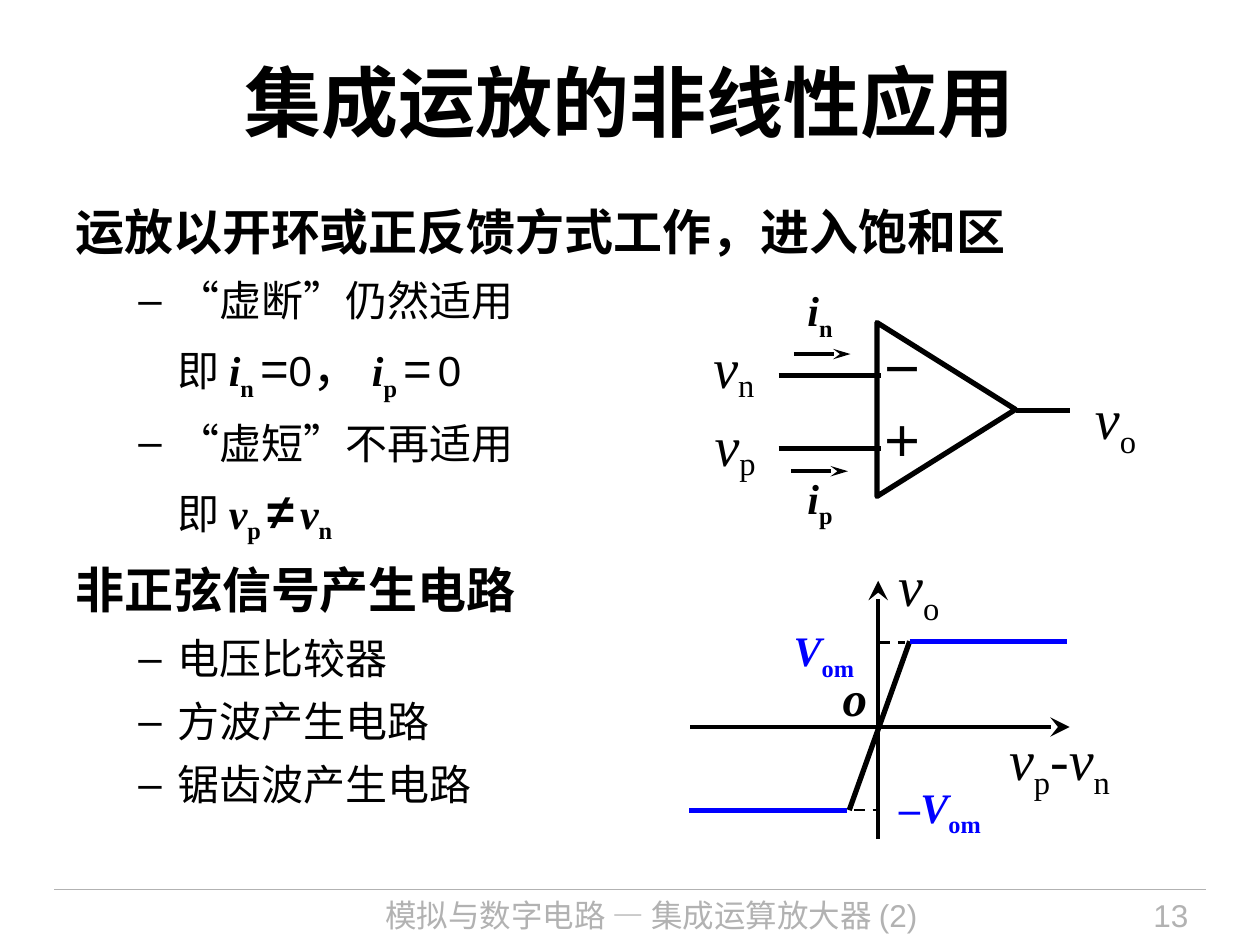
"""Build the slide on nonlinear applications of integrated operational amplifiers."""
from dataclasses import dataclass

from lxml.etree import SubElement
from pptx import Presentation
from pptx.dml.color import RGBColor
from pptx.enum.dml import MSO_LINE as Dash
from pptx.enum.shapes import MSO_CONNECTOR as Connector, MSO_SHAPE as Shape
from pptx.enum.text import MSO_ANCHOR as Anchor, MSO_AUTO_SIZE as AutoSize, PP_ALIGN as Align
from pptx.oxml.ns import qn
from pptx.util import Inches, Pt


@dataclass(frozen=True)
class Theme:
    ink: RGBColor = RGBColor(0, 0, 0)
    muted: RGBColor = RGBColor(0xB2, 0xB2, 0xB2)
    accent: RGBColor = RGBColor(0, 0, 0xFF)
    sans: str = "Arial"
    serif: str = "Times New Roman"
    title: int = 44
    symbol: int = 32
    heading: int = 28
    body: int = 24
    footer: int = 18


THEME = Theme()
PLAIN = {"name": THEME.sans, "size": Pt(THEME.body), "color": THEME.ink, "bold": False}
HEADING = {**PLAIN, "size": Pt(THEME.heading), "bold": True}
OPERATOR = {**HEADING, "bold": False}
TITLE = {**HEADING, "size": Pt(THEME.title)}
FOOTER = {**PLAIN, "size": Pt(THEME.footer), "color": THEME.muted}
QUANTITY = {**PLAIN, "name": THEME.serif, "bold": True}
SATURATION = {**QUANTITY, "color": THEME.accent}
VOLTAGE = {**QUANTITY, "size": Pt(THEME.symbol), "bold": False}
SUBSCRIPT = {"baseline": -25}


def symbol(letter, subscript, style, drop=-25):
    """Return the runs of an italic letter with its subscript."""
    return [(letter, {**style, "italic": True}), (subscript, {**style, "baseline": drop})]


class SlideBuilder:
    """Hold the theme and the current slide."""

    def __init__(self, theme, slide):
        self.theme, self.slide = theme, slide

    def runs(self, paragraph, parts):
        """Add styled runs to a paragraph."""
        for words, style in parts:
            run = paragraph.add_run()
            run.text = words
            for key, value in style.items():
                if key == "color":
                    run.font.color.rgb = value
                elif key == "baseline":
                    run._r.get_or_add_rPr().set("baseline", str(value * 1000))
                else:
                    setattr(run.font, key, value)

    def text(self, box, parts, frame_format=None, paragraph_format=None):
        """Add a text box of one paragraph."""
        frame = self.slide.shapes.add_textbox(*map(Inches, box)).text_frame
        for key, value in {"word_wrap": True, **(frame_format or {})}.items():
            setattr(frame, key, value)
        paragraph = frame.paragraphs[0]
        for key, value in (paragraph_format or {}).items():
            setattr(paragraph, key, value)
        self.runs(paragraph, parts)

    def outline(self, box, entries):
        """Add the body text from (kind, runs) entries."""
        frame = self.slide.shapes.add_textbox(*map(Inches, box)).text_frame
        frame.word_wrap = True
        for index, (kind, parts) in enumerate(entries):
            paragraph = frame.add_paragraph() if index else frame.paragraphs[0]
            properties = paragraph._p.get_or_add_pPr()
            if kind != "heading":
                paragraph.level = 1
                properties.set("marL", str(Inches(0.81)))
                properties.set("indent", str(Inches(-0.31) if kind == "bullet" else 0))
            SubElement(SubElement(properties, qn("a:spcAft")), qn("a:spcPct")).set("val", "30000")
            if kind == "bullet":
                SubElement(properties, qn("a:buFont")).set("typeface", self.theme.sans)
                SubElement(properties, qn("a:buChar")).set("char", "–")
            else:
                SubElement(properties, qn("a:buNone"))
            self.runs(paragraph, parts)

    def line(self, start, end, width, color=None, dash=None, arrow=None):
        """Add a straight line, with an arrowhead of the given format at its end."""
        connector = self.slide.shapes.add_connector(
            Connector.STRAIGHT, *map(Inches, (*start, *end)))
        line = connector.line
        line.color.rgb = color or self.theme.ink
        line.width = Pt(width)
        if dash:
            line.dash_style = dash
        if arrow:
            head = SubElement(line._get_or_add_ln(), qn("a:tailEnd"))
            for key, value in arrow.items():
                head.set(key, value)
        SubElement(connector._element.spPr, qn("a:effectLst"))

    def triangle(self, box, width):
        """Add the amplifier triangle, pointing right."""
        amplifier = self.slide.shapes.add_shape(Shape.ISOSCELES_TRIANGLE, *map(Inches, box))
        amplifier.rotation = 90
        amplifier.shadow.inherit = False
        amplifier.fill.background()
        amplifier.line.color.rgb = self.theme.ink
        amplifier.line.width = Pt(width)


GROW = {"auto_size": AutoSize.SHAPE_TO_FIT_TEXT}
LOOSE = {**GROW, "word_wrap": False}
FLUSH = {"word_wrap": False, "margin_left": 0, "margin_right": 0, "margin_top": 0, "margin_bottom": 0}
SIGN = {**FLUSH, "vertical_anchor": Anchor.MIDDLE}
TERMINAL = {**FLUSH, **GROW}
CURRENT_HEAD = {"type": "stealth", "w": "med", "len": "lg"}
AXIS_HEAD = {**CURRENT_HEAD, "w": "lg"}

OUTLINE = [
    ("heading", [("运放以开环或正反馈方式工作，进入饱和区", HEADING)]),
    ("bullet", [("“虚断”仍然适用", PLAIN)]),
    ("detail", [("即 ", PLAIN), *symbol("i", "n ", QUANTITY), ("=", OPERATOR), ("0", PLAIN),
                ("， ", OPERATOR), *symbol("i", "p ", QUANTITY), ("=", OPERATOR),
                (" ", {**QUANTITY, **SUBSCRIPT}), ("0", PLAIN)]),
    ("bullet", [("“虚短”不再适用", PLAIN)]),
    ("detail", [("即 ", PLAIN), *symbol("v", "p ", QUANTITY), ("≠", HEADING),
                (" ", {**QUANTITY, **SUBSCRIPT}), *symbol("v", "n", QUANTITY)]),
    ("heading", [("非正弦信号产生电路", HEADING)]),
    *(("bullet", [(circuit, PLAIN)]) for circuit in ("电压比较器", "方波产生电路", "锯齿波产生电路")),
]


def draw_amplifier(builder):
    """Draw the amplifier symbol with its terminals."""
    builder.triangle((6.82, 2.7, 1.38, 1.1), 3)
    builder.line((8.06, 3.26), (8.49, 3.26), 3)
    builder.text((8.69, 2.92, 0.34, 0.64), symbol("v", "o", VOLTAGE), TERMINAL, {"line_spacing": 1.2})
    inputs = (("n", "－", 2.68, (5.55, 2.53), 2.98, 2.21, (6.3, 2.81)),
              ("p", "＋", 3.25, (5.56, 3.15), 3.56, 3.7, (6.28, 3.74)))
    for name, sign, sign_top, corner, wire, label_top, (arrow_left, arrow_top) in inputs:
        builder.line((6.18, wire), (6.99, wire), 3)
        builder.text((*corner, 0.45, 0.64), [(" ", VOLTAGE), *symbol("v", name, VOLTAGE, -15)],
                     TERMINAL, {"line_spacing": 1.2})
        builder.text((6.31, label_top, 0.58, 0.5), symbol("i", name, QUANTITY), GROW)
        builder.line((arrow_left, arrow_top), (arrow_left + 0.45, arrow_top), 2, arrow=CURRENT_HEAD)
        builder.text((7, sign_top, 0.33, 0.5), [(sign, QUANTITY)], SIGN)


def draw_transfer_curve(builder):
    """Draw the saturating transfer characteristic."""
    builder.line((6.97, 6.66), (6.97, 4.61), 2.25, arrow=AXIS_HEAD)
    builder.line((5.48, 5.77), (8.49, 5.77), 2.25, arrow=AXIS_HEAD)
    builder.line((6.78, 6.43), (6.98, 6.43), 1.5, dash=Dash.DASH)
    builder.line((6.98, 5.1), (7.18, 5.1), 1.5, dash=Dash.DASH)
    builder.line((7.22, 5.09), (6.74, 6.43), 3)
    builder.line((7.22, 5.09), (8.47, 5.09), 3, THEME.accent)
    builder.line((5.47, 6.43), (6.72, 6.43), 3, THEME.accent)
    builder.text((6.2, 4.91, 0.72, 0.5), symbol("V", "om", SATURATION), LOOSE)
    builder.text((7.04, 6.15, 0.89, 0.5), symbol("–V", "om", SATURATION), LOOSE)
    builder.text((6.59, 5.25, 0.4, 0.57), [("o", {**HEADING, "name": THEME.serif, "italic": True})], LOOSE)
    builder.text((7.03, 4.38, 0.72, 0.53), symbol("v", "o", VOLTAGE), GROW, {"line_spacing": 0.8})
    difference = [*symbol("v", "p", VOLTAGE), ("-", VOLTAGE), *symbol("v", "n", VOLTAGE)]
    builder.text((7.91, 5.52, 1.25, 0.79), difference, GROW, {"line_spacing": 1.3})


def main():
    """Build and save the presentation."""
    deck = Presentation()
    deck.slide_width, deck.slide_height = Inches(10), Inches(7.5)
    builder = SlideBuilder(THEME, deck.slides.add_slide(deck.slide_layouts[6]))
    builder.line((0.43, 7.06), (9.57, 7.06), 0.75, THEME.muted)
    builder.text((2.49, 7.06, 5.36, 0.44), [("模拟与数字电路 — 集成运算放大器 (2)", FOOTER)],
                 paragraph_format={"alignment": Align.CENTER})
    builder.text((8.2, 7.06, 1.33, 0.44), [("13", FOOTER)], paragraph_format={"alignment": Align.RIGHT})
    builder.text((0.5, 0.17, 9, 1.25), [("集成运放的非线性应用", TITLE)],
                 {"vertical_anchor": Anchor.MIDDLE}, {"alignment": Align.CENTER})
    builder.outline((0.5, 1.55, 9.07, 5.43), OUTLINE)
    draw_transfer_curve(builder)
    draw_amplifier(builder)
    deck.save("out.pptx")


if __name__ == "__main__":
    main()
